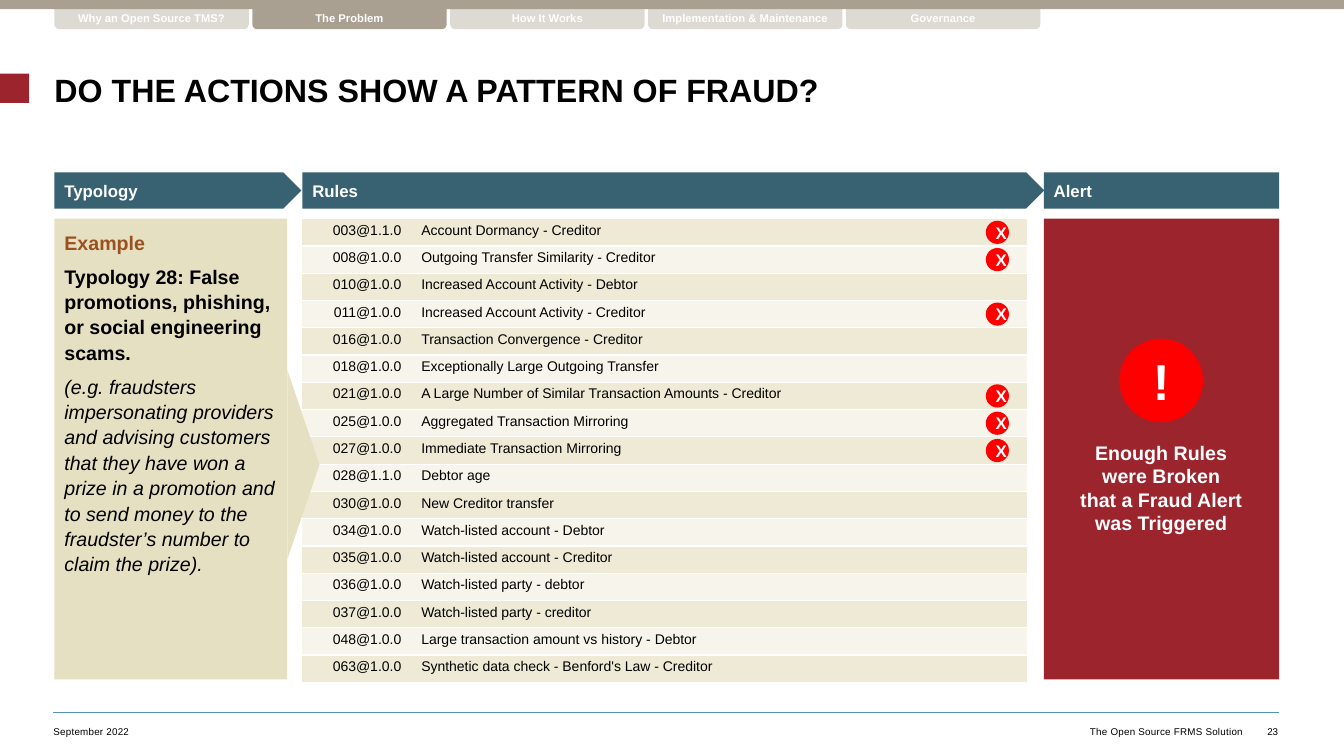
from collections import namedtuple

from lxml import etree
from pptx import Presentation
from pptx import util as u
from pptx.dml.color import RGBColor
from pptx.enum import shapes, text
from pptx.oxml.ns import qn

Box = namedtuple("Box", "left top width height")

CELL = 0.1
COLUMNS, ROWS = 133.33, 75
LEFT, RIGHT = 5.4, 126.9
HEADER_TOP, HEADER_HEIGHT = 17.1, 3.6
PANEL_TOP, PANEL_HEIGHT = 21.7, 45.7
WHITE, BLACK, TEAL, SAND = "FFFFFF", "000000", "386272", "E6E0C2"
MAROON, RED, TAUPE, PALE_TAUPE = "9B242D", "FF0000", "AAA092", "DDD9D3"
BANDS = ("EEEAD6", "F7F5EB")
KIND, ALIGN, ANCHOR = shapes.MSO_SHAPE, text.PP_ALIGN, text.MSO_ANCHOR
NO_MARGINS = dict(margin_left=0, margin_top=0, margin_right=0, margin_bottom=0)

TABS = ("Why an Open Source TMS?", "The Problem", "How It Works",
        "Implementation & Maintenance", "Governance")
ACTIVE_TAB = "The Problem"
RULES = (
    ("003@1.1.0", "Account Dormancy - Creditor", True),
    ("008@1.0.0", "Outgoing Transfer Similarity - Creditor", True),
    ("010@1.0.0", "Increased Account Activity - Debtor", False),
    ("011@1.0.0", "Increased Account Activity - Creditor", True),
    ("016@1.0.0", "Transaction Convergence - Creditor", False),
    ("018@1.0.0", "Exceptionally Large Outgoing Transfer", False),
    ("021@1.0.0", "A Large Number of Similar Transaction Amounts - Creditor", True),
    ("025@1.0.0", "Aggregated Transaction Mirroring", True),
    ("027@1.0.0", "Immediate Transaction Mirroring", True),
    ("028@1.1.0", "Debtor age", False),
    ("030@1.0.0", "New Creditor transfer", False),
    ("034@1.0.0", "Watch-listed account - Debtor", False),
    ("035@1.0.0", "Watch-listed account - Creditor", False),
    ("036@1.0.0", "Watch-listed party - debtor", False),
    ("037@1.0.0", "Watch-listed party - creditor", False),
    ("048@1.0.0", "Large transaction amount vs history - Debtor", False),
    ("063@1.0.0", "Synthetic data check - Benford's Law - Creditor", False),
)


def grid(count):
    """Turn a count of grid cells into a length."""
    return u.Inches(count * CELL)


def color(value):
    """Turn a hex string into a colour."""
    return RGBColor.from_string(value)


def apply(target, formats):
    """Set every attribute named in a dict of format values."""
    for name, value in formats.items():
        setattr(target, name, value)


def write(frame, content, size, shade, bold=False, italic=False, tracking=0, **formats):
    """Fill the last paragraph of a text frame and format it."""
    paragraph = frame.paragraphs[-1]
    paragraph.text = content
    apply(paragraph, formats)
    for run in paragraph.runs:
        apply(run.font, dict(name="Arial", size=u.Pt(size), bold=bold, italic=italic))
        run.font.color.rgb = color(shade)
        if tracking:
            run.font._element.set("spc", str(tracking))


def add_block(slide, kind, box, fill):
    """Add a flat filled shape without outline."""
    shape = slide.shapes.add_shape(kind, *map(grid, box))
    shape.shadow.inherit = False
    shape.fill.solid()
    shape.fill.fore_color.rgb = color(fill)
    shape.line.fill.background()
    return shape


def add_label(slide, box, content, size, shade, anchor=ANCHOR.MIDDLE, **formats):
    """Add a text box with no margins."""
    frame = slide.shapes.add_textbox(*map(grid, box)).text_frame
    apply(frame, dict(NO_MARGINS, word_wrap=True, vertical_anchor=anchor))
    write(frame, content, size, shade, **formats)


def add_badge(slide, box, content, size):
    """Add a red circle with a white mark."""
    badge = add_block(slide, KIND.OVAL, box, RED)
    badge.text_frame.vertical_anchor = ANCHOR.MIDDLE
    write(badge.text_frame, content, size, WHITE, bold=True, alignment=ALIGN.CENTER)


def add_header(slide, kind, box, content):
    """Add the teal heading of a column."""
    header = add_block(slide, kind, box, TEAL)
    header.text_frame.vertical_anchor = ANCHOR.MIDDLE
    write(header.text_frame, content, 12, WHITE, bold=True, alignment=ALIGN.LEFT)


def add_navigation(slide, box):
    """Add the row of section tabs hanging from the top bar."""
    pitch = box.width / len(TABS)
    for index, name in enumerate(TABS):
        place = Box(box.left + index * pitch, box.top, pitch - 0.35, box.height)
        fill = TAUPE if name == ACTIVE_TAB else PALE_TAUPE
        frame = add_block(slide, KIND.ROUNDED_RECTANGLE, place, fill).text_frame
        apply(frame, dict(NO_MARGINS, margin_bottom=grid(0.3),
                          vertical_anchor=ANCHOR.BOTTOM))
        write(frame, name, 8, WHITE, bold=True, alignment=ALIGN.CENTER)
    add_block(slide, KIND.RECTANGLE, Box(0, box.top, COLUMNS, 0.9), TAUPE)


def add_title(slide, box):
    """Add the title and the red marker at the slide's edge."""
    add_block(slide, KIND.RECTANGLE, Box(0, box.top + 0.2, 2.9, 2.9), MAROON)
    add_label(slide, box, "DO THE ACTIONS SHOW A PATTERN OF FRAUD?", 23, BLACK,
              bold=True, line_spacing=u.Pt(30.7))


def add_cell_borders(cell, hidden):
    """Draw white cell borders except on the hidden side."""
    properties = cell._tc.get_or_add_tcPr()
    for side in ("lnL", "lnR", "lnT", "lnB"):
        line = etree.SubElement(properties, qn("a:" + side), w=str(u.Pt(1)))
        if side == hidden:
            etree.SubElement(line, qn("a:noFill"))
        else:
            fill = etree.SubElement(line, qn("a:solidFill"))
            etree.SubElement(fill, qn("a:srgbClr"), val=WHITE)


def add_rules(slide, box):
    """Add the rules table and mark the broken rules."""
    add_header(slide, KIND.PENTAGON,
               Box(box.left + 0.1, HEADER_TOP, box.width + 1.6, HEADER_HEIGHT), "Rules")
    table = slide.shapes.add_table(len(RULES), 2, *map(grid, box)).table
    apply(table, dict(first_row=False, horz_banding=False))
    pitch = box.height / len(RULES)
    for column, width in zip(table.columns, (10.9, box.width - 10.9)):
        column.width = grid(width)
    for index, (code, name, broken) in enumerate(RULES):
        table.rows[index].height = grid(pitch)
        columns = ((code, ALIGN.RIGHT, "lnR"), (name, ALIGN.LEFT, "lnL"))
        for cell, (content, alignment, hidden) in zip(table.rows[index].cells, columns):
            add_cell_borders(cell, hidden)
            cell.fill.solid()
            cell.fill.fore_color.rgb = color(BANDS[index % 2])
            apply(cell, dict(margin_top=grid(0.4), margin_bottom=grid(0.4)))
            write(cell.text_frame, content, 10, BLACK, alignment=alignment)
        if broken:
            place = Box(box.left + box.width - 4.1, box.top + 0.2 + index * pitch, 2.3, 2.3)
            add_badge(slide, place, "X", 12)


def add_typology(slide, box):
    """Add the example panel with its pointer towards the rules."""
    add_header(slide, KIND.PENTAGON,
               Box(box.left, HEADER_TOP, box.width + 1.4, HEADER_HEIGHT), "Typology")
    frame = add_block(slide, KIND.RECTANGLE, box, SAND).text_frame
    apply(frame, dict(margin_top=grid(1), vertical_anchor=ANCHOR.TOP))
    layout = dict(alignment=ALIGN.LEFT, line_spacing=1.08, space_after=u.Pt(6))
    write(frame, "Example", 14, "9B501F", bold=True, **layout)
    frame.add_paragraph()
    write(frame, "Typology 28: False promotions, phishing, or social engineering scams.",
          14, BLACK, bold=True, **layout)
    frame.add_paragraph()
    write(frame, "(e.g. fraudsters impersonating providers and advising customers that "
          "they have won a prize in a promotion and to send money to the fraudster’s "
          "number to claim the prize).", 14, BLACK, italic=True, **layout)
    length, depth = 18.8, 3.2
    center = box.left + box.width + depth / 2
    pointer = Box(center - length / 2, box.top + box.height / 2 - 0.05, length, depth)
    add_block(slide, KIND.ISOSCELES_TRIANGLE, pointer, SAND).rotation = 90


def add_alert(slide, box):
    """Add the alert panel with its warning badge."""
    add_header(slide, KIND.RECTANGLE,
               Box(box.left, HEADER_TOP, box.width, HEADER_HEIGHT), "Alert")
    add_block(slide, KIND.RECTANGLE, box, MAROON)
    add_badge(slide, Box(box.left + 7.5, box.top + 11.9, 8.3, 8.3), "!", 36)
    add_label(slide, Box(box.left + 1.6, box.top + 22, 20.1, 6),
              "Enough Rules\vwere Broken\vthat a Fraud Alert was Triggered", 14, WHITE,
              anchor=ANCHOR.TOP, bold=True, alignment=ALIGN.CENTER)


def add_footer(slide, box):
    """Add the footer rule, date, deck name and page number."""
    right = box.left + box.width
    rule = slide.shapes.add_connector(shapes.MSO_CONNECTOR.STRAIGHT, *map(
        grid, (box.left, box.top, right, box.top)))
    rule.line.color.rgb = color("5393AB")
    rule.line.width = u.Pt(0.5)
    etree.SubElement(rule._element.spPr, qn("a:effectLst"))
    top, height = box.top + 0.7, box.height - 0.7
    add_label(slide, Box(box.left, top, 12.5, height), "September 2022", 7, BLACK,
              tracking=20)
    add_label(slide, Box(right - 48.6, top, 45, height), "The Open Source FRMS Solution",
              7, BLACK, tracking=20, alignment=ALIGN.RIGHT)
    add_label(slide, Box(right - 6.1, top, 6, height), "23", 7, BLACK,
              alignment=ALIGN.RIGHT)


def main():
    """Build the slide and save it."""
    presentation = Presentation()
    apply(presentation, dict(slide_width=grid(COLUMNS), slide_height=grid(ROWS)))
    slide = presentation.slides.add_slide(presentation.slide_layouts[6])
    add_navigation(slide, Box(LEFT, 0, 98.15, 2.9))
    add_title(slide, Box(LEFT, 7.1, RIGHT - LEFT, 3.2))
    add_rules(slide, Box(29.9, PANEL_TOP, 72, 46))
    add_typology(slide, Box(LEFT, PANEL_TOP, 23.1, PANEL_HEIGHT))
    add_alert(slide, Box(103.55, PANEL_TOP, RIGHT - 103.55, PANEL_HEIGHT))
    add_footer(slide, Box(5.3, 70.7, 121.6, 3))
    presentation.save("out.pptx")


if __name__ == "__main__":
    main()
